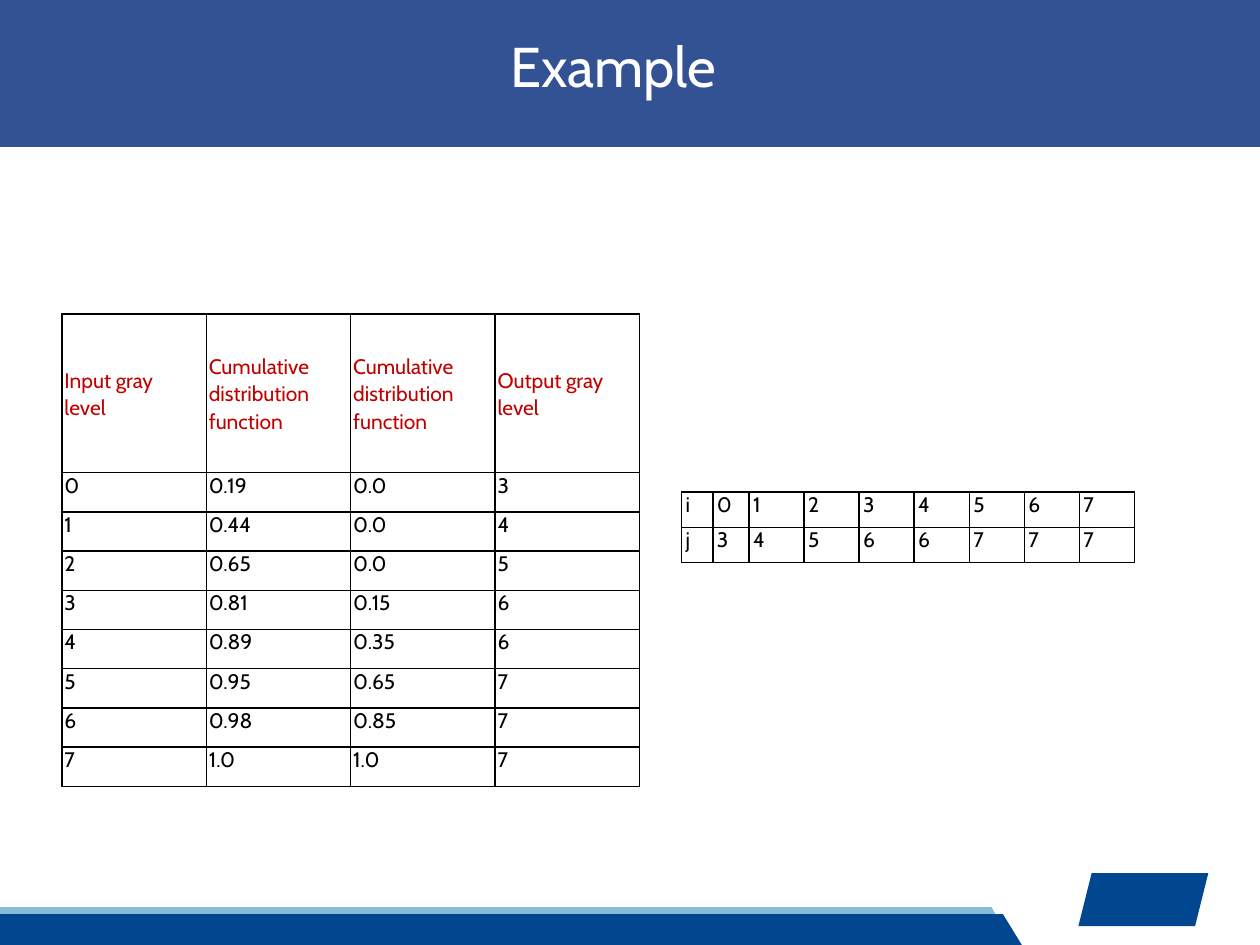
from lxml.etree import SubElement
from pptx import Presentation
from pptx.dml.color import RGBColor
from pptx.enum.shapes import MSO_SHAPE as Shape
from pptx.enum.text import MSO_ANCHOR as Anchor
from pptx.oxml.ns import qn
from pptx.util import Cm, Pt

FONT = "Cabin"
BLACK, RED, WHITE = "000000", "C00000", "FFFFFF"
NAVY, SKY, BANNER = "004790", "86BCD5", "335294"

HEADERS = ["Input gray level", "Cumulative distribution function",
           "Cumulative distribution function", "Output gray level"]
OUTPUT_LEVELS = [3, 4, 5, 6, 6, 7, 7, 7]
CUMULATIVE_INPUT = ["0.19", "0.44", "0.65", "0.81", "0.89", "0.95", "0.98", "1.0"]
CUMULATIVE_TARGET = ["0.0", "0.0", "0.0", "0.15", "0.35", "0.65", "0.85", "1.0"]
LEVELS = range(len(OUTPUT_LEVELS))

MATCHING_ROWS = [HEADERS, *zip(LEVELS, CUMULATIVE_INPUT, CUMULATIVE_TARGET, OUTPUT_LEVELS)]
MAPPING_ROWS = [["i", *LEVELS], ["j", *OUTPUT_LEVELS]]

# Outlines in cm
BANDS = [
    (BANNER, [(0, 0), (25.4, 0), (25.4, 2.97), (0, 2.97)]),
    (SKY, [(0, 18.29), (19.99, 18.29), (20.37, 18.95), (0, 18.95)]),
    (NAVY, [(0, 18.43), (20.22, 18.43), (20.6, 19.05), (0, 19.05)]),
]


def color(value):
    return RGBColor.from_string(value)


def paint(shape, fill):
    shape.shadow.inherit = False
    shape.fill.solid()
    shape.fill.fore_color.rgb = color(fill)
    shape.line.fill.background()


def write(frame, text, size, ink):
    para = frame.paragraphs[0]
    span = para.add_run()
    span.text = str(text)
    for name, value in {"name": FONT, "size": Pt(size)}.items():
        setattr(span.font, name, value)
    span.font.color.rgb = color(ink)
    return para


def add_band(page, fill, points):
    corners = [(Cm(x), Cm(y)) for x, y in points]
    builder = page.shapes.build_freeform(*corners[0])
    builder.add_line_segments(corners[1:], close=True)
    paint(builder.convert_to_shape(), fill)


def add_borders(cell):
    """Draw a thin black line on all four sides of the cell."""
    properties = cell._tc.get_or_add_tcPr()
    for index, side in enumerate(("lnL", "lnR", "lnT", "lnB")):
        line = SubElement(properties, qn(f"a:{side}"), w=str(Pt(1)))
        SubElement(SubElement(line, qn("a:solidFill")), qn("a:srgbClr"), val=BLACK)
        properties.insert(index, line)


def add_grid(page, rows, left, top, widths, heights, indent, header=False):
    table = page.shapes.add_table(len(rows), len(widths), Cm(left), Cm(top),
                                  Cm(sum(widths)), Cm(sum(heights))).table
    table.first_row = table.horz_banding = False
    for column, width in zip(table.columns, widths):
        column.width = Cm(width)
    for r, (row, height) in enumerate(zip(rows, heights)):
        table.rows[r].height = Cm(height)
        is_header = header and r == 0
        layout = {
            "margin_left": Cm(indent), "margin_top": 0, "margin_bottom": 0,
            "margin_right": Cm(0.6 if is_header else 0),
            "vertical_anchor": Anchor.MIDDLE if is_header else Anchor.TOP,
        }
        for c, text in enumerate(row):
            cell = table.cell(r, c)
            for name, value in layout.items():
                setattr(cell, name, value)
            cell.fill.background()
            add_borders(cell)
            para = write(cell.text_frame, text, 12, RED if is_header else BLACK)
            if is_header:
                para.line_spacing = 1.07


deck = Presentation()
deck.slide_width, deck.slide_height = Cm(25.4), Cm(19.05)
page = deck.slides.add_slide(deck.slide_layouts[6])

for fill, points in BANDS:
    add_band(page, fill, points)

emblem = page.shapes.add_shape(Shape.PARALLELOGRAM, Cm(21.74), Cm(17.6), Cm(2.62), Cm(1.07))
paint(emblem, NAVY)

title = page.shapes.add_textbox(Cm(2.29), Cm(0.64), Cm(20.85), Cm(1.5)).text_frame
title.word_wrap = True
for side, margin in {"left": 8, "top": 0, "right": 0, "bottom": 0}.items():
    setattr(title, f"margin_{side}", Cm(margin))
write(title, "Example", 32, WHITE)

add_grid(page, MATCHING_ROWS, 1.25, 6.33, [2.91] * 4, [3.2] + [0.79] * 8, 0.05, header=True)
add_grid(page, MAPPING_ROWS, 13.74, 9.92, [0.63, 0.73] + [1.11] * 7, [0.71] * 2, 0.08)

deck.save("out.pptx")
